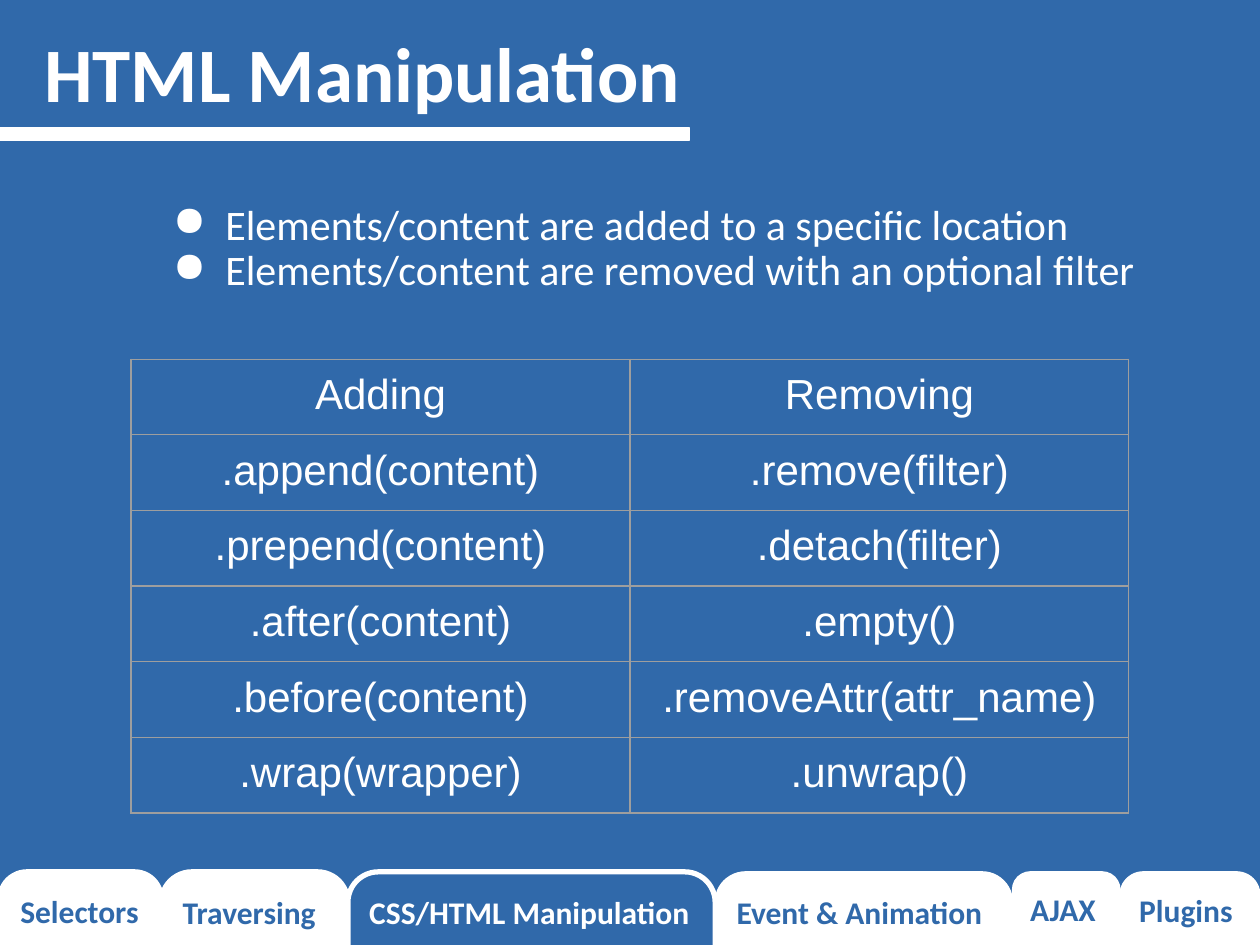
from pptx import Presentation
from pptx.dml.color import RGBColor as Color
from pptx.enum.shapes import MSO_SHAPE as Preset
from pptx.enum.text import MSO_ANCHOR as Anchor, MSO_AUTO_SIZE as AutoSize, PP_ALIGN as Align
from pptx.oxml.ns import qn
from pptx.util import Pt
from lxml.etree import SubElement as add_element

COLORS = {"blue": "3069AA", "white": "FFFFFF", "border": "9E9E9E"}

BULLETS = [
    "Elements/content are added to a specific location",
    "Elements/content are removed with an optional filter",
]
METHODS = [
    ("Adding", "Removing"),
    (".append(content)", ".remove(filter)"),
    (".prepend(content)", ".detach(filter)"),
    (".after(content)", ".empty()"),
    (".before(content)", ".removeAttr(attr_name)"),
    (".wrap(wrapper)", ".unwrap()"),
]
TABS = [
    ("Selectors", 92.2, 3),
    ("Traversing", 106.6, 3),
    ("CSS/HTML Manipulation", 209.9, 3),
    ("Event & Animation", 169.9, 0.75),
    ("AJAX", 61.4, 0.75),
    ("Plugins", 80, 0.75),
]
CURRENT_TAB = "CSS/HTML Manipulation"


class SlideBuilder:
    font = "Calibri"
    inset = 7.2

    def __init__(self, deck):
        self.slide = deck.slides.add_slide(deck.slide_layouts[5])
        fill = self.slide.background.fill
        fill.solid()
        fill.fore_color.rgb = self.color("blue")

    def color(self, name):
        return Color.from_string(COLORS[name])

    def style(self, para, size, color="white", bold=False, font=None, align=Align.LEFT):
        para.alignment = align
        for span in para.runs:
            span.font.name = font or self.font
            span.font.size = Pt(size)
            span.font.bold = bold
            span.font.color.rgb = self.color(color)

    def title(self, text, left, top, width, height):
        box = self.slide.shapes.title
        box.left, box.top, box.width, box.height = map(Pt, (left, top, width, height))
        frame = box.text_frame
        frame.text = text
        frame.auto_size = AutoSize.NONE
        frame.vertical_anchor = Anchor.MIDDLE
        para = frame.paragraphs[0]
        para.line_spacing = 0.9
        self.style(para, 44, bold=True)

    def bullets(self, lines, left, top, width, height):
        box = self.slide.shapes.add_textbox(*map(Pt, (left, top, width, height)))
        frame = box.text_frame
        frame.word_wrap = True
        frame.text = "\n".join(lines)
        for para in frame.paragraphs:
            para.line_spacing = 0.9
            self.style(para, 24)
            props = para._p.get_or_add_pPr()
            props.set("marL", str(Pt(72)))
            props.set("indent", str(-Pt(30)))
            bullet_color = add_element(props, qn("a:buClr"))
            add_element(bullet_color, qn("a:srgbClr"), val=COLORS["white"])
            add_element(props, qn("a:buChar"), char="●")
        frame.paragraphs[0].space_before = Pt(5)

    def shape(self, preset, left, top, width, height, adjustment, fill, line_width):
        shape = self.slide.shapes.add_shape(preset, *map(Pt, (left, top, width, height)))
        shape.adjustments[0] = adjustment
        shape.shadow.inherit = False
        shape.fill.solid()
        shape.fill.fore_color.rgb = self.color(fill)
        shape.line.color.rgb = self.color("white")
        shape.line.width = Pt(line_width)
        return shape

    def tab(self, text, left, top, width, height, line_width, current):
        fill, ink = ("blue", "white") if current else ("white", "blue")
        shape = self.shape(Preset.ROUNDED_RECTANGLE, left, top, width, height,
                           0.167, fill, line_width)
        frame = shape.text_frame
        frame.margin_top = frame.margin_bottom = Pt(self.inset)
        frame.vertical_anchor = Anchor.TOP
        frame.text = text
        self.style(frame.paragraphs[0], 18, ink, bold=True)

    def cell_borders(self, cell):
        props = cell._tc.get_or_add_tcPr()
        for index, side in enumerate(("lnL", "lnR", "lnT", "lnB")):
            line = props.makeelement(qn(f"a:{side}"), {"w": str(Pt(0.75))})
            fill = add_element(line, qn("a:solidFill"))
            add_element(fill, qn("a:srgbClr"), val=COLORS["border"])
            props.insert(index, line)

    def table(self, rows, left, top, column_width, row_height):
        columns = len(rows[0])
        table = self.slide.shapes.add_table(
            len(rows), columns, Pt(left), Pt(top),
            Pt(column_width * columns), Pt(row_height * len(rows))).table
        table.first_row = table.horz_banding = False
        for row, texts in zip(table.rows, rows):
            for cell, text in zip(row.cells, texts):
                cell.fill.background()
                cell.margin_top = cell.margin_bottom = Pt(self.inset)
                cell.text_frame.text = text
                self.style(cell.text_frame.paragraphs[0], 24, font="Arial", align=Align.CENTER)
                self.cell_borders(cell)


def main():
    deck = Presentation()
    deck.slide_width, deck.slide_height = Pt(720), Pt(540)
    page = SlideBuilder(deck)
    page.title("HTML Manipulation", 18, -8, 620.6, 104.4)
    page.bullets(BULLETS, 49.7, 113, 620.6, 365)
    left = 0
    for text, width, line_width in TABS:
        page.tab(text, left, 498.2, width, 104.4, line_width, text == CURRENT_TAB)
        left += width
    page.shape(Preset.MATH_MINUS, -101.5, 60.5, 571, 32.4, 0.235, "white", 0.75)
    page.table(METHODS, 74.9, 205.2, 285.1, 41.1)
    deck.save("out.pptx")


if __name__ == "__main__":
    main()
